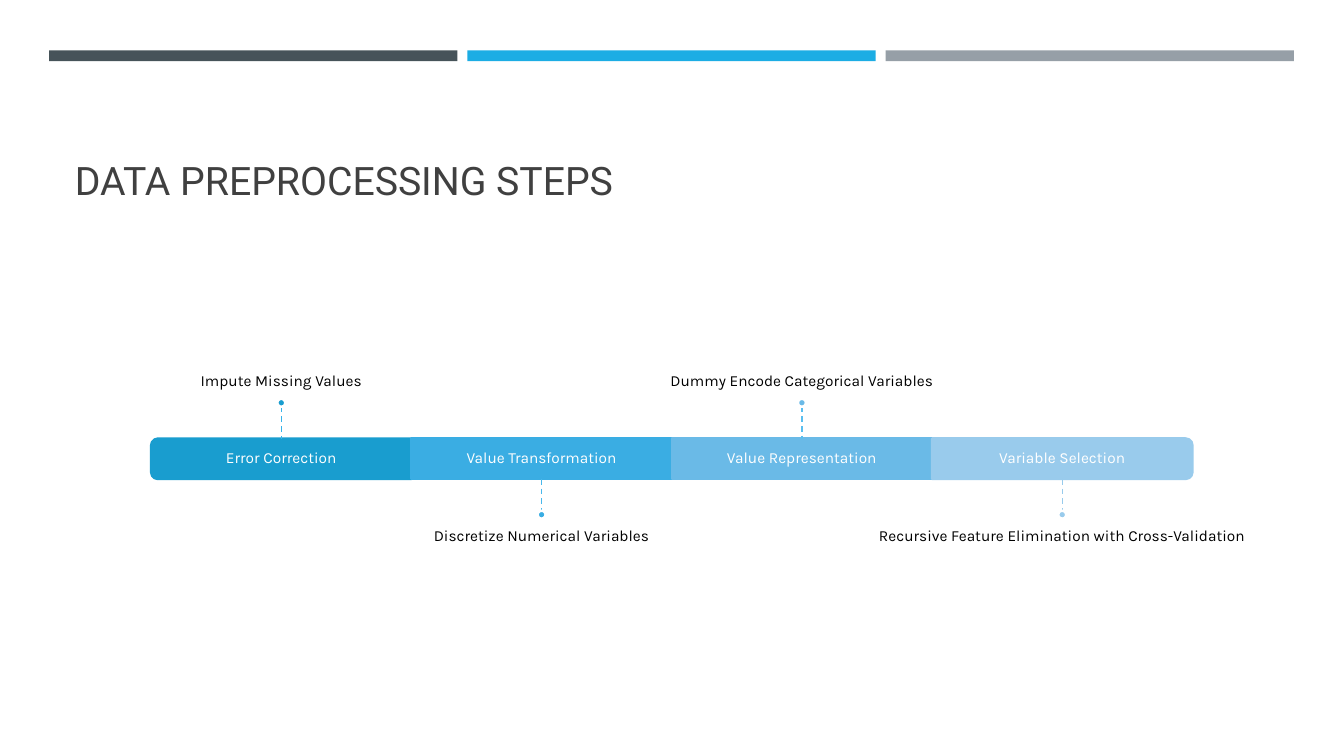
from lxml import etree
from pptx import Presentation
from pptx import util as u
from pptx.dml.color import RGBColor
from pptx.enum import dml, shapes, text
from pptx.oxml.ns import qn

COLORS = {
    "header_dark": "465359", "header_blue": "1CADE4", "header_grey": "969FA7",
    "title": "404040", "black": "000000", "white": "FFFFFF",
}
STEPS = [
    ("Error Correction", "Impute Missing Values", "199DCF", "36B3E9"),
    ("Value Transformation", "Discretize Numerical Variables", "3AADE3", "48B8EC"),
    ("Value Representation", "Dummy Encode Categorical Variables", "6ABAE7", "5ABEEF"),
    ("Variable Selection", "Recursive Feature Elimination with Cross-Validation", "99CBEC", "98CBEC"),
]
BAR_LEFT, BAR_TOP, STEP_W, BAR_H = 3.81, 11.05, 6.56, 1.02
STEM, DOT = 0.8, 0.2
CALLOUT_W, CALLOUT_H = 10.95, 3.53
INSET = 0.23


class SlideBuilder:
    heading_font = "Roboto"
    body_font = "Karla"
    body_size = 11

    def __init__(self, prs):
        self.slide = prs.slides.add_slide(prs.slide_layouts[5])

    def format_runs(self, p, font, size, color):
        for r in p.runs:
            r.font.name = font
            r.font.size = u.Pt(size)
            r.font.color.rgb = RGBColor.from_string(color)

    def title(self, content, left, top, width, height):
        sp = self.slide.shapes.title
        sp.left, sp.top, sp.width, sp.height = map(u.Cm, (left, top, width, height))
        tf = sp.text_frame
        tf.text = content
        tf.vertical_anchor = text.MSO_ANCHOR.BOTTOM
        p = tf.paragraphs[0]
        p.alignment = text.PP_ALIGN.LEFT
        p.line_spacing = 0.9
        self.format_runs(p, self.heading_font, 28, COLORS["title"])

    def shape(self, kind, left, top, width, height, fill, line=None, rotation=0):
        sp = self.slide.shapes.add_shape(kind, *map(u.Cm, (left, top, width, height)))
        sp.shadow.inherit = False
        sp.rotation = rotation
        sp.fill.solid()
        sp.fill.fore_color.rgb = RGBColor.from_string(fill)
        if line:
            sp.line.color.rgb = RGBColor.from_string(line)
            sp.line.width = u.Pt(1.75)
        else:
            sp.line.fill.background()
        return sp

    def label(self, content, left, top, width, height, color, anchor, insets):
        sp = self.slide.shapes.add_textbox(*map(u.Cm, (left, top, width, height)))
        tf = sp.text_frame
        tf.word_wrap = True
        tf.vertical_anchor = anchor
        tf.margin_left, tf.margin_top, tf.margin_right, tf.margin_bottom = map(u.Cm, insets)
        tf.text = content
        p = tf.paragraphs[0]
        p.alignment = text.PP_ALIGN.CENTER
        p.line_spacing = 0.9
        self.format_runs(p, self.body_font, self.body_size, color)

    def stem(self, x, top, bottom, color):
        line = self.slide.shapes.add_connector(
            shapes.MSO_CONNECTOR.STRAIGHT, *map(u.Cm, (x, top, x, bottom)))
        line.line.color.rgb = RGBColor.from_string(color)
        line.line.width = u.Pt(1)
        line.line.dash_style = dml.MSO_LINE.DASH
        etree.SubElement(line._element.spPr, qn("a:effectLst"))
        return line

    def segment(self, left, color, rotation):
        if rotation is None:
            return self.shape(shapes.MSO_SHAPE.RECTANGLE, left, BAR_TOP, STEP_W, BAR_H, color, color)
        shift = (STEP_W - BAR_H) / 2
        return self.shape(shapes.MSO_SHAPE.ROUND_2_SAME_RECTANGLE, left + shift, BAR_TOP - shift,
                          BAR_H, STEP_W, color, color, rotation)

    def step(self, index, name, detail, color, stem_color):
        left = BAR_LEFT + index * STEP_W
        center = left + STEP_W / 2
        rotation = {0: 270, len(STEPS) - 1: 90}.get(index)
        segment = self.segment(left, color, rotation)
        self.label(name, left, BAR_TOP, STEP_W, BAR_H, COLORS["white"],
                   text.MSO_ANCHOR.MIDDLE, [INSET] * 4)

        above = index % 2 == 0
        if above:
            stem_top = BAR_TOP - STEM
            dot_top = stem_top - DOT
            callout_top, anchor = dot_top - CALLOUT_H, text.MSO_ANCHOR.BOTTOM
            insets = (0, 0, 0, INSET)
        else:
            stem_top = BAR_TOP + BAR_H
            dot_top = stem_top + STEM
            callout_top, anchor = dot_top + DOT, text.MSO_ANCHOR.TOP
            insets = (0, INSET, 0, 0)
        self.label(detail, center - CALLOUT_W / 2, callout_top, CALLOUT_W, CALLOUT_H,
                   COLORS["black"], anchor, insets)
        stem = self.stem(center, stem_top, stem_top + STEM, stem_color)
        if rotation is None:
            if above:
                stem.end_connect(segment, 0)
            else:
                stem.begin_connect(segment, 2)
        self.shape(shapes.MSO_SHAPE.OVAL, center - DOT / 2, dot_top, DOT, DOT, color, COLORS["white"])


def main():
    prs = Presentation()
    prs.slide_width, prs.slide_height = u.Cm(33.87), u.Cm(19.05)
    builder = SlideBuilder(prs)
    for i, key in enumerate(("header_dark", "header_blue", "header_grey")):
        builder.shape(shapes.MSO_SHAPE.RECTANGLE, 1.24 + i * 10.54, 1.27, 10.29, 0.27, COLORS[key])
    builder.title("DATA PREPROCESSING STEPS", 1.63, 1.96, 30.63, 3.3)
    for i, step in enumerate(STEPS):
        builder.step(i, *step)
    prs.save("out.pptx")


if __name__ == "__main__":
    main()
